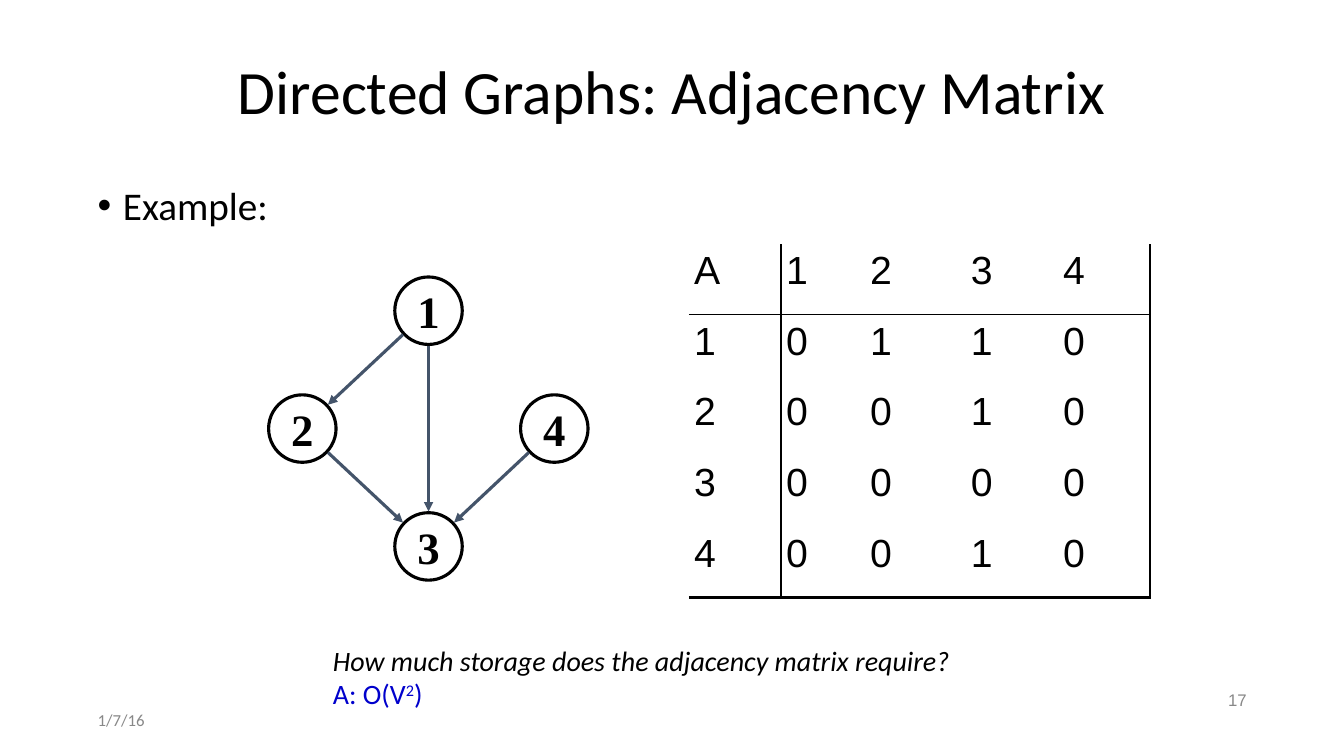
from dataclasses import dataclass
from math import hypot

from lxml.etree import SubElement as Sub
from pptx import Presentation
from pptx.dml.color import RGBColor as RGB
from pptx.enum.shapes import MSO_CONNECTOR as LINK, MSO_SHAPE as SHAPE
from pptx.enum.text import MSO_ANCHOR as ANCHOR, PP_ALIGN as ALIGN
from pptx.oxml.ns import qn
from pptx.util import Cm, Pt


@dataclass(frozen=True)
class Theme:
    ink: str = "000000"
    edge: str = "44546A"
    blue: str = "0000CC"
    gray: str = "888888"
    sans: str = "Calibri"
    grid: str = "Arial"
    serif: str = "Times New Roman"
    head: int = 44
    node: int = 32
    body: int = 28
    note: int = 20
    foot: int = 12
    thin: float = 1
    thick: float = 2.25


look = Theme()


def put(para, text, size=look.body, face=look.sans, tint=look.ink,
        bold=False, slant=False, raised=False, align=ALIGN.LEFT):
    para.alignment = align
    run = para.add_run()
    run.text = text
    font = run.font
    font.size, font.name = Pt(size), face
    font.bold, font.italic = bold, slant
    font.color.rgb = RGB.from_string(tint)
    if raised:
        run._r.get_or_add_rPr().set("baseline", "30000")


def fit(frame, pad=0.13, anchor=ANCHOR.TOP):
    frame.word_wrap = True
    frame.vertical_anchor = anchor
    frame.margin_left = frame.margin_right = Cm(pad)
    frame.margin_top = frame.margin_bottom = Cm(pad)
    return frame.paragraphs[0]


deck = Presentation()
deck.slide_width, deck.slide_height = Cm(33.87), Cm(19.05)
slide = deck.slides.add_slide(deck.slide_layouts[5])
shapes = slide.shapes

title = shapes.title
title.left, title.top, title.width, title.height = Cm(2.33), Cm(1.02), Cm(29.21), Cm(2.72)
para = fit(title.text_frame, anchor=ANCHOR.MIDDLE)
para.line_spacing = 0.9
put(para, "Directed Graphs: Adjacency Matrix", size=look.head, align=ALIGN.CENTER)

body = shapes.add_textbox(Cm(2.33), Cm(4.57), Cm(29.21), Cm(1.4))
para = fit(body.text_frame)
props = para._p.get_or_add_pPr()
props.set("marL", str(Cm(0.64)))
props.set("indent", str(-Cm(0.64)))
Sub(props, qn("a:buFont"), typeface="Arial")
Sub(props, qn("a:buChar"), char="•")
para.line_spacing = 0.9
put(para, "Example:")

size = 1.7
nodes = {1: (10.8, 7.83), 2: (7.62, 10.8), 3: (10.8, 13.77), 4: (13.97, 10.8)}
edges = [(1, 2), (1, 3), (2, 3), (4, 3)]

for name, (x, y) in nodes.items():
    node = shapes.add_shape(SHAPE.OVAL, Cm(x - size / 2), Cm(y - size / 2), Cm(size), Cm(size))
    node.shadow.inherit = False
    node.fill.background()
    node.line.color.rgb = RGB.from_string(look.ink)
    node.line.width = Pt(look.thick)
    para = fit(node.text_frame, pad=0, anchor=ANCHOR.MIDDLE)
    node.text_frame.word_wrap = False
    put(para, str(name), size=look.node, face=look.serif, bold=True, align=ALIGN.CENTER)

for start, end in edges:
    (x1, y1), (x2, y2) = nodes[start], nodes[end]
    part = 0.88 / hypot(x2 - x1, y2 - y1)
    dx, dy = (x2 - x1) * part, (y2 - y1) * part
    edge = shapes.add_connector(LINK.STRAIGHT, Cm(x1 + dx), Cm(y1 + dy), Cm(x2 - dx), Cm(y2 - dy))
    edge.line.color.rgb = RGB.from_string(look.edge)
    edge.line.width = Pt(look.thick)
    Sub(edge.line._get_or_add_ln(), qn("a:tailEnd"), type="triangle")
    Sub(edge._element.spPr, qn("a:effectLst"))

count = len(nodes) + 1
rows = [["A", *nodes]]
rows += [[a, *(int((a, b) in edges) for b in nodes)] for a in nodes]
widths = [2.32, 2.12, 2.54, 2.32, 2.32]
rules = {1: look.thin, count: look.thick}

frame = shapes.add_table(count, count, Cm(17.36), Cm(6.15), Cm(sum(widths)), Cm(8.9))
table = frame.table
table.first_row = table.horz_banding = False
for col, width in zip(table.columns, widths):
    col.width = Cm(width)
for r, row in enumerate(rows):
    table.rows[r].height = Cm(1.78)
    for c, value in enumerate(row):
        cell = table.cell(r, c)
        cell.margin_left = cell.margin_right = Cm(0.13)
        cell.margin_top = cell.margin_bottom = Cm(0.13)
        put(cell.text_frame.paragraphs[0], str(value), face=look.grid)
        props = cell._tc.get_or_add_tcPr()
        for side, place in zip("LRTB", (c, c + 1, r, r + 1)):
            rule = Sub(props, qn(f"a:ln{side}"))
            if place in rules:
                rule.set("w", str(Pt(rules[place])))
                Sub(Sub(rule, qn("a:solidFill")), qn("a:srgbClr"), val=look.ink)
            else:
                Sub(rule, qn("a:noFill"))
        cell.fill.background()

note = shapes.add_textbox(Cm(8.26), Cm(16.08), Cm(19.48), Cm(1.96)).text_frame
put(fit(note), "How much storage does the adjacency matrix require?", size=look.note, slant=True)
reply = note.add_paragraph()
for text, raised in (("A: O(V", False), ("2", True), (")", False)):
    put(reply, text, size=look.note, tint=look.blue, raised=raised)

for text, x, y, face, align in (
    ("1/7/16", 2.33, 17.78, look.sans, ALIGN.LEFT),
    ("17", 23.93, 17.27, look.grid, ALIGN.RIGHT),
):
    foot = shapes.add_textbox(Cm(x), Cm(y), Cm(7.62), Cm(0.74))
    para = fit(foot.text_frame, anchor=ANCHOR.MIDDLE)
    put(para, text, size=look.foot, face=face, tint=look.gray, align=align)

deck.save("out.pptx")
